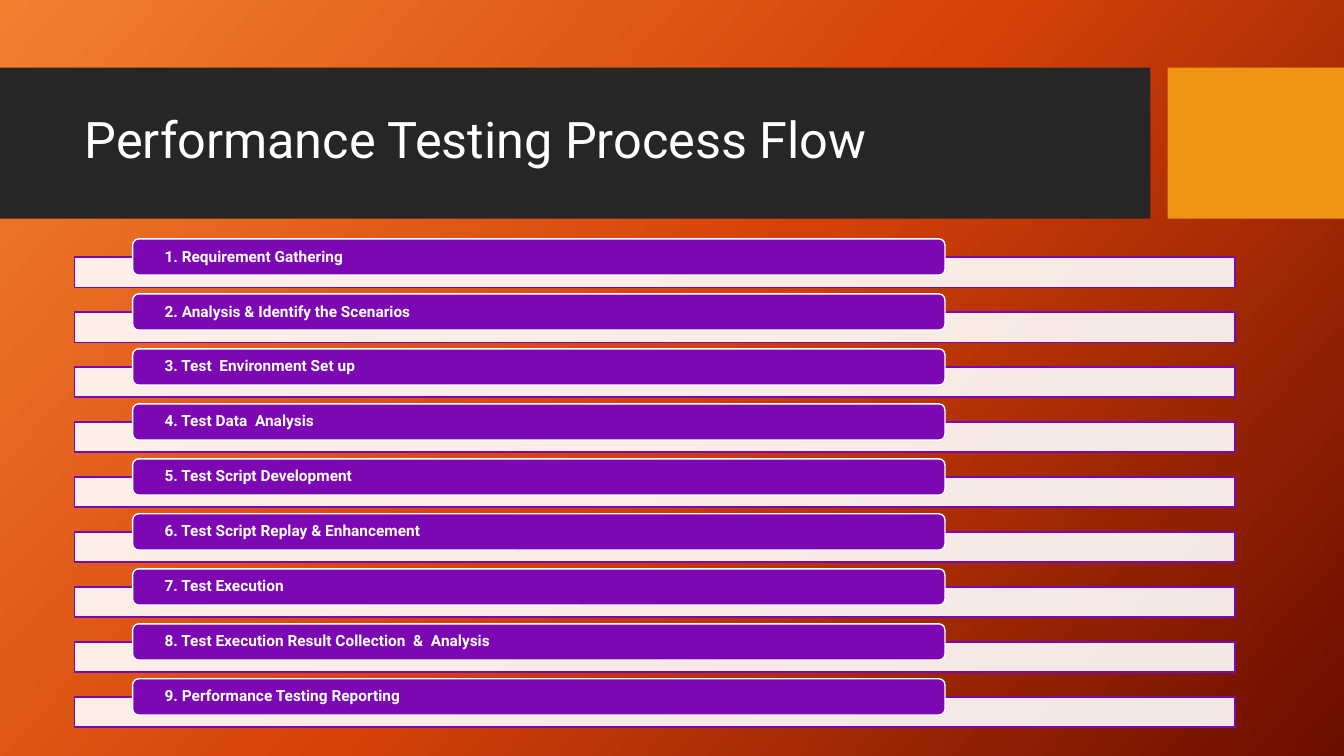
from copy import deepcopy

from lxml.etree import SubElement
from pptx import Presentation
from pptx.dml.color import RGBColor
from pptx.enum.shapes import MSO_SHAPE
from pptx.enum.text import MSO_ANCHOR, PP_ALIGN
from pptx.oxml.ns import qn
from pptx.util import Inches, Pt

WIDTH, HEIGHT = 13.33, 7.5
FONT = "Roboto"
WHITE, DARK, ORANGE, PURPLE = "FFFFFF", "262626", "F09415", "7C08B3"
BACKGROUND = [(0, "F18031"), (0.5, "D54209"), (1, "6A0D00")]
STEPS = [
    "1. Requirement Gathering",
    "2. Analysis & Identify the Scenarios",
    "3. Test  Environment Set up",
    "4. Test Data  Analysis",
    "5. Test Script Development",
    "6. Test Script Replay & Enhancement",
    "7. Test Execution",
    "8. Test Execution Result Collection  &  Analysis",
    "9. Performance Testing Reporting",
]


def rgb(color):
    return RGBColor.from_string(color)


def add_box(slide, kind, box, fill, line=None):
    sp = slide.shapes.add_shape(kind, *map(Inches, box))
    sp.shadow.inherit = False
    sp.fill.solid()
    sp.fill.fore_color.rgb = rgb(fill)
    if line:
        sp.line.color.rgb = rgb(line)
        sp.line.width = Pt(1)
    else:
        sp.line.fill.background()
    return sp


def set_text(sp, text, size, bold=False):
    tf = sp.text_frame
    tf.word_wrap = True
    tf.vertical_anchor = MSO_ANCHOR.MIDDLE
    p = tf.paragraphs[0]
    p.text = text
    p.alignment = PP_ALIGN.LEFT
    p.line_spacing = 0.9
    p.font.name = FONT
    p.font.size = Pt(size)
    p.font.bold = bold
    p.font.color.rgb = rgb(WHITE)
    return tf


def paint_background(slide):
    fill = slide.background.fill
    fill.gradient()
    fill.gradient_angle = 360 - 42  # counter-clockwise
    stops = slide.element.find(".//" + qn("a:gsLst"))
    stops.append(deepcopy(stops[0]))
    for stop, (position, color) in zip(fill.gradient_stops, BACKGROUND):
        stop.position = position
        stop.color.rgb = rgb(color)


def add_header(slide, top, height):
    """Dark title band from the left edge and an accent block at the right."""
    accent = 1.75
    gap = 0.17
    band = WIDTH - accent - gap
    add_box(slide, MSO_SHAPE.RECTANGLE, (0, top, band, height), DARK)
    add_box(slide, MSO_SHAPE.RECTANGLE, (WIDTH - accent, top, accent, height), ORANGE)
    title = slide.shapes.add_textbox(
        *map(Inches, (0.74, top + 0.15, band - 0.9, height - 0.32)))
    set_text(title, "Performance Testing Process Flow", 36)


def add_step(slide, left, top, width, text):
    """White bar with a purple label that overlaps its upper edge."""
    bar = add_box(slide, MSO_SHAPE.RECTANGLE, (left, top + 0.18, width, 0.3), WHITE, PURPLE)
    color = bar.fill._xPr.find(qn("a:solidFill"))[0]
    SubElement(color, qn("a:alpha"), val="90000")
    label = add_box(slide, MSO_SHAPE.ROUNDED_RECTANGLE,
                    (left + width * 0.05, top, width * 0.7, 0.36), PURPLE, WHITE)
    tf = set_text(label, text, 11, bold=True)
    tf.margin_left = tf.margin_right = Inches(0.3)
    tf.margin_top = tf.margin_bottom = 0


def add_steps(slide, left, top, width, height):
    pitch = height / len(STEPS)
    for i, text in enumerate(STEPS):
        add_step(slide, left, top + i * pitch, width, text)


def main():
    prs = Presentation()
    prs.slide_width, prs.slide_height = Inches(WIDTH), Inches(HEIGHT)
    slide = prs.slides.add_slide(prs.slide_layouts[6])
    paint_background(slide)
    add_header(slide, 0.67, 1.5)
    add_steps(slide, 0.74, 2.37, 11.51, 4.91)
    prs.save("out.pptx")


if __name__ == "__main__":
    main()
